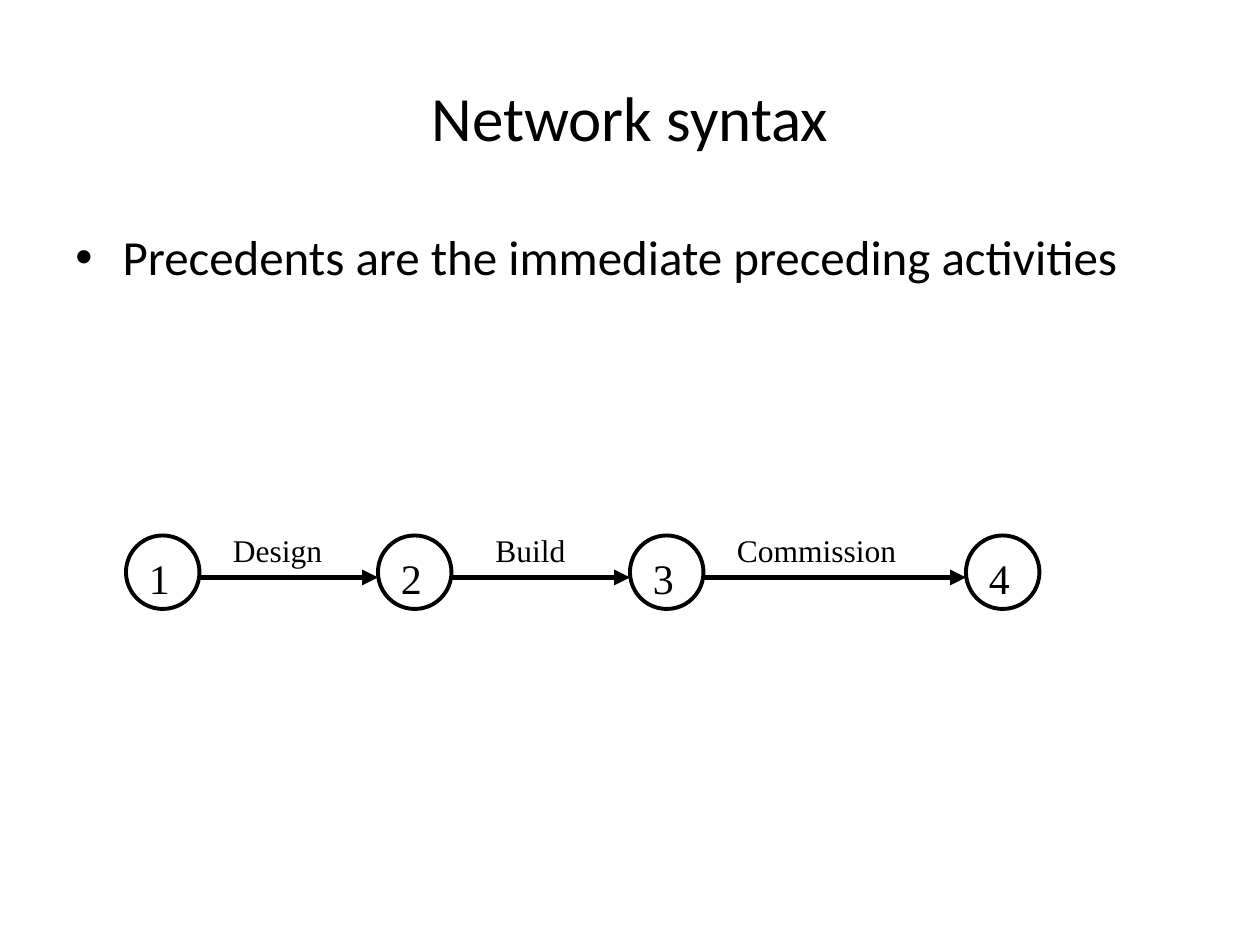
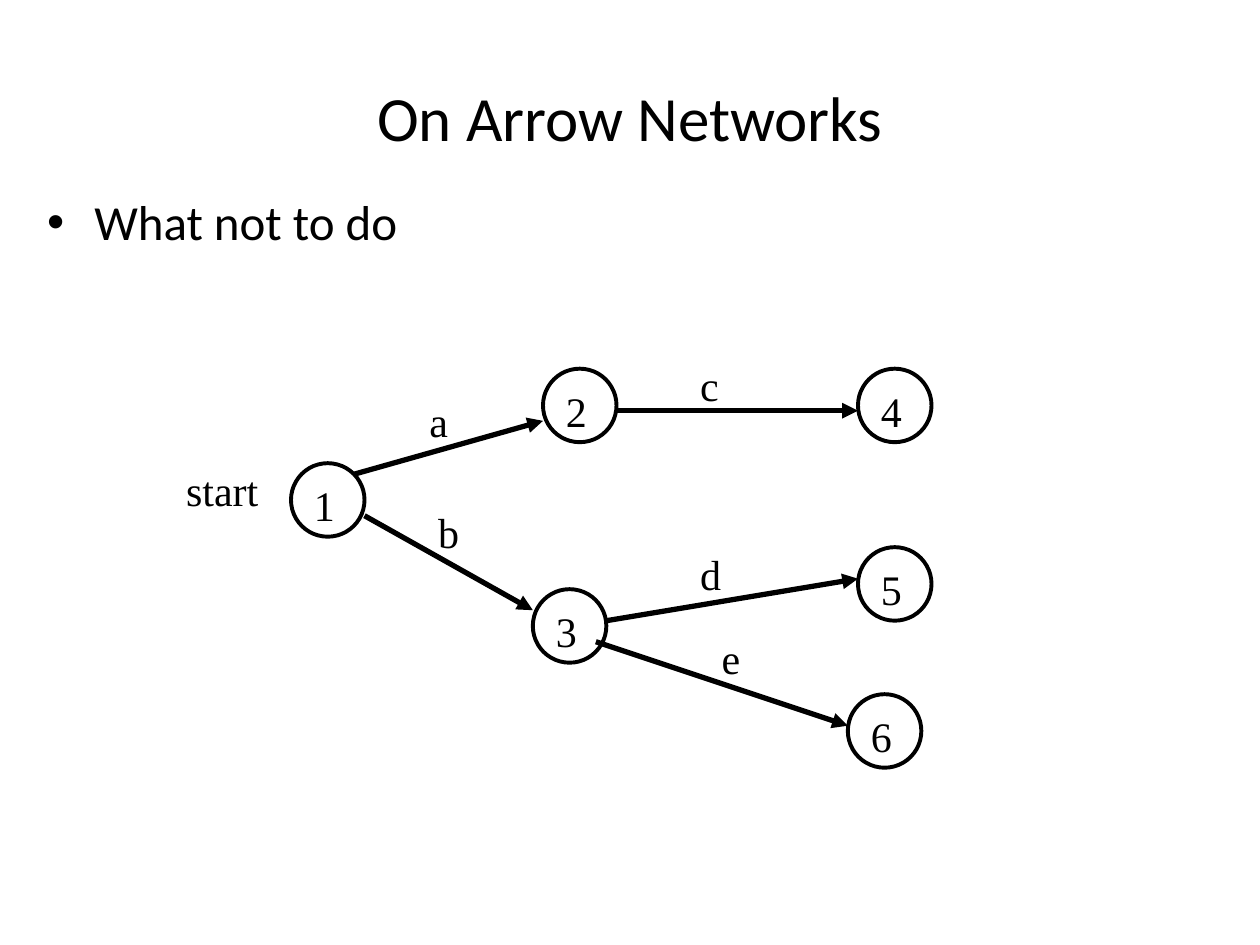
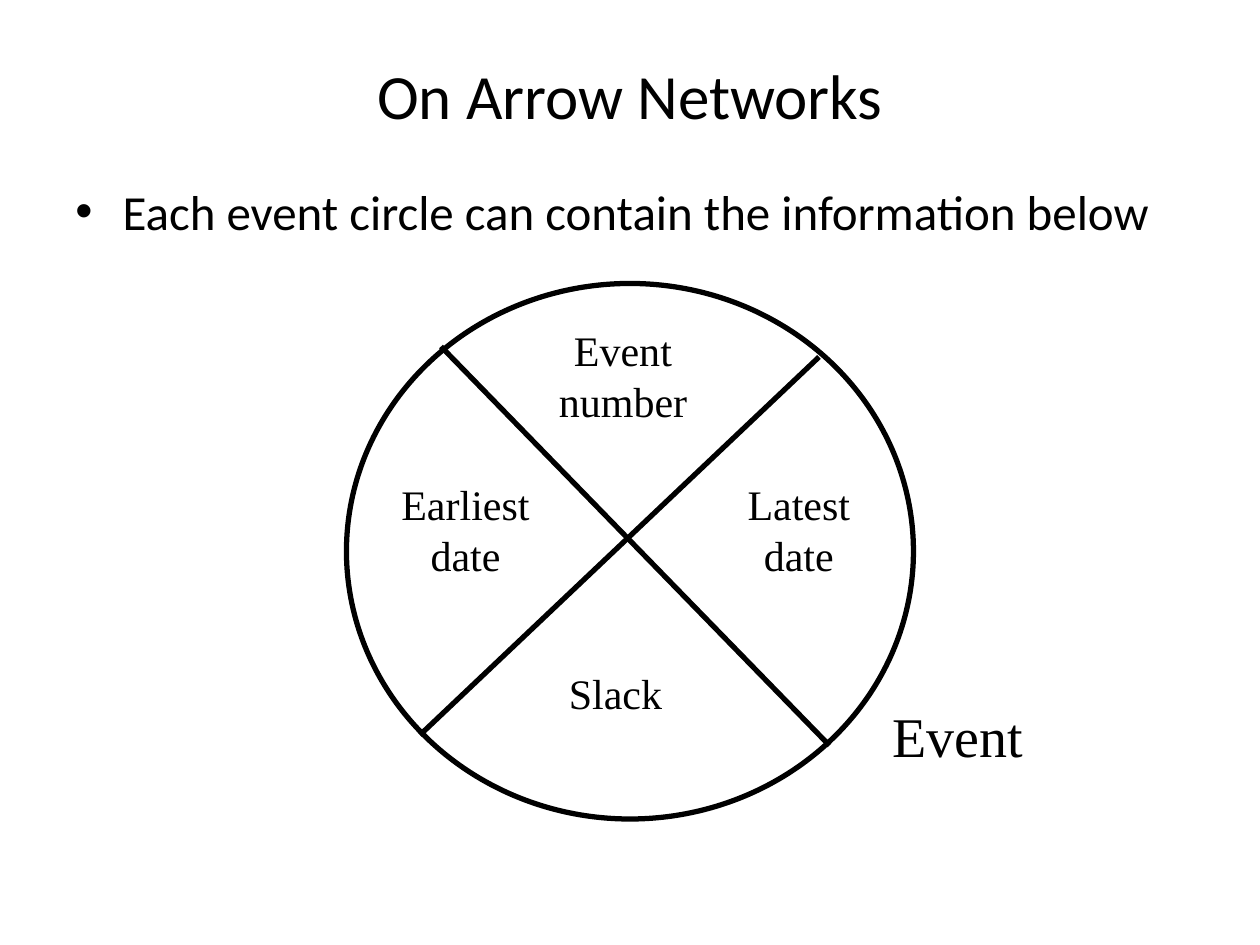
from pptx import Presentation
from pptx.dml.color import RGBColor
from pptx.enum import shapes, text
from pptx.oxml import ns, xmlchemy
from pptx.util import Pt

BLACK = RGBColor(0, 0, 0)
SANS = "Calibri"
SERIF = "Times New Roman"
LEFT = text.PP_ALIGN.LEFT
MID = text.PP_ALIGN.CENTER
RING = 42
INSET = 6


def write(page, words, left, top, wide, high, size, font=SERIF, align=LEFT):
    box = page.shapes.add_textbox(Pt(left), Pt(top), Pt(wide), Pt(high))
    frame = box.text_frame
    frame.text = words
    frame.word_wrap = font == SANS
    if font == SERIF:
        frame.auto_size = text.MSO_AUTO_SIZE.SHAPE_TO_FIT_TEXT
    for para in frame.paragraphs:
        para.alignment = align
        for run in para.runs:
            run.font.name = font
            run.font.size = Pt(size)
            run.font.color.rgb = BLACK
    return frame


def link(page, x1, y1, x2, y2, arrow=True):
    line = page.shapes.add_connector(
        shapes.MSO_CONNECTOR.STRAIGHT, Pt(x1), Pt(y1), Pt(x2), Pt(y2))
    line.line.color.rgb = BLACK
    line.line.width = Pt(3)
    if arrow:
        tail = xmlchemy.OxmlElement("a:tailEnd")
        tail.set("type", "triangle")
        line.line._get_or_add_ln().append(tail)
    props = line._element.find(ns.qn("p:spPr"))
    props.append(xmlchemy.OxmlElement("a:effectLst"))


deck = Presentation()
deck.slide_width = Pt(720)
deck.slide_height = Pt(540)

heads = [
    ("Network syntax", 90,
     "Precedents are the immediate preceding activities", (36, 126, 648, 356)),
    ("On Arrow Networks", 90,
     "What not to do", (19.8, 106, 684, 372)),
    ("On Arrow Networks", 65,
     "Each event circle can contain the information below", (36, 100, 648, 382)),
]
pages = []
for title, high, point, area in heads:
    page = deck.slides.add_slide(deck.slide_layouts[6])
    pages.append(page)
    frame = write(page, title, 36, 21.5, 648, high, 36, SANS, MID)
    frame.vertical_anchor = text.MSO_ANCHOR.MIDDLE
    frame = write(page, point, *area, 28, SANS)
    props = frame.paragraphs[0]._p.get_or_add_pPr()
    props.set("marL", str(Pt(27)))
    props.set("indent", str(-Pt(27)))
    face = xmlchemy.OxmlElement("a:buFont")
    face.set("typeface", "Arial")
    mark = xmlchemy.OxmlElement("a:buChar")
    mark.set("char", "•")
    props.extend([face, mark])

chain, tree, event = pages

rings = [
    (chain, [(72, 306), (216, 306), (360, 306), (552, 306)]),
    (tree, [(166.3, 264.7), (310.3, 210.7), (304.5, 336.7),
            (490.3, 210.7), (490.3, 312.7), (484.5, 396.7)]),
]
for page, spots in rings:
    for count, (left, top) in enumerate(spots, 1):
        ring = page.shapes.add_shape(
            shapes.MSO_SHAPE.OVAL, Pt(left), Pt(top), Pt(RING), Pt(RING))
        ring.shadow.inherit = False
        ring.fill.background()
        ring.line.color.rgb = BLACK
        ring.line.width = Pt(2.25)
        write(page, str(count), left + INSET, top + INSET, 26.5, 36, 24)

spots = rings[0][1]
for (left, top), (goal, _) in zip(spots, spots[1:]):
    link(chain, left + RING, top + 24, goal, top + 24)

for ends in [
    (202.3, 271, 310.3, 240.5),
    (208.3, 294.7, 304.5, 348.7),
    (352.3, 234.7, 490.3, 234.7),
    (346.5, 354.7, 490.3, 330.7),
    (340.5, 366.7, 484.5, 414.7),
]:
    link(tree, *ends)

for word, left, wide in [
    ("Design", 126, 65.5), ("Build", 276, 54.5), ("Commission", 414, 106),
]:
    write(chain, word, left, 300, wide, 29, 18)

for word, left, top, wide in [
    ("start", 99.3, 262, 55.5),
    ("a", 238.3, 222.5, 25),
    ("b", 243.3, 286, 26.5),
    ("c", 393, 202, 25),
    ("d", 393, 310, 26.5),
    ("e", 405.3, 358, 25),
]:
    write(tree, word, left, top, wide, 36, 24)

disc = event.shapes.add_shape(
    shapes.MSO_SHAPE.OVAL, Pt(198), Pt(162), Pt(324), Pt(306))
disc.shadow.inherit = False
disc.fill.background()
disc.line.color.rgb = BLACK
disc.line.width = Pt(3)
link(event, 468, 204, 240, 420, False)
link(event, 252, 198, 474, 426, False)

for words, left, top, wide, high, size in [
    ("Event\nnumber", 311, 182, 90, 65, 24),
    ("Earliest\ndate", 221, 270, 90, 65, 24),
    ("Latest\ndate", 418, 270, 77, 65, 24),
    ("Slack", 318, 378, 68, 36, 24),
    ("Event", 502.8, 397.5, 90, 45.5, 32),
]:
    write(event, words, left, top, wide, high, size,
          align=MID if "\n" in words else LEFT)

deck.save("out.pptx")
